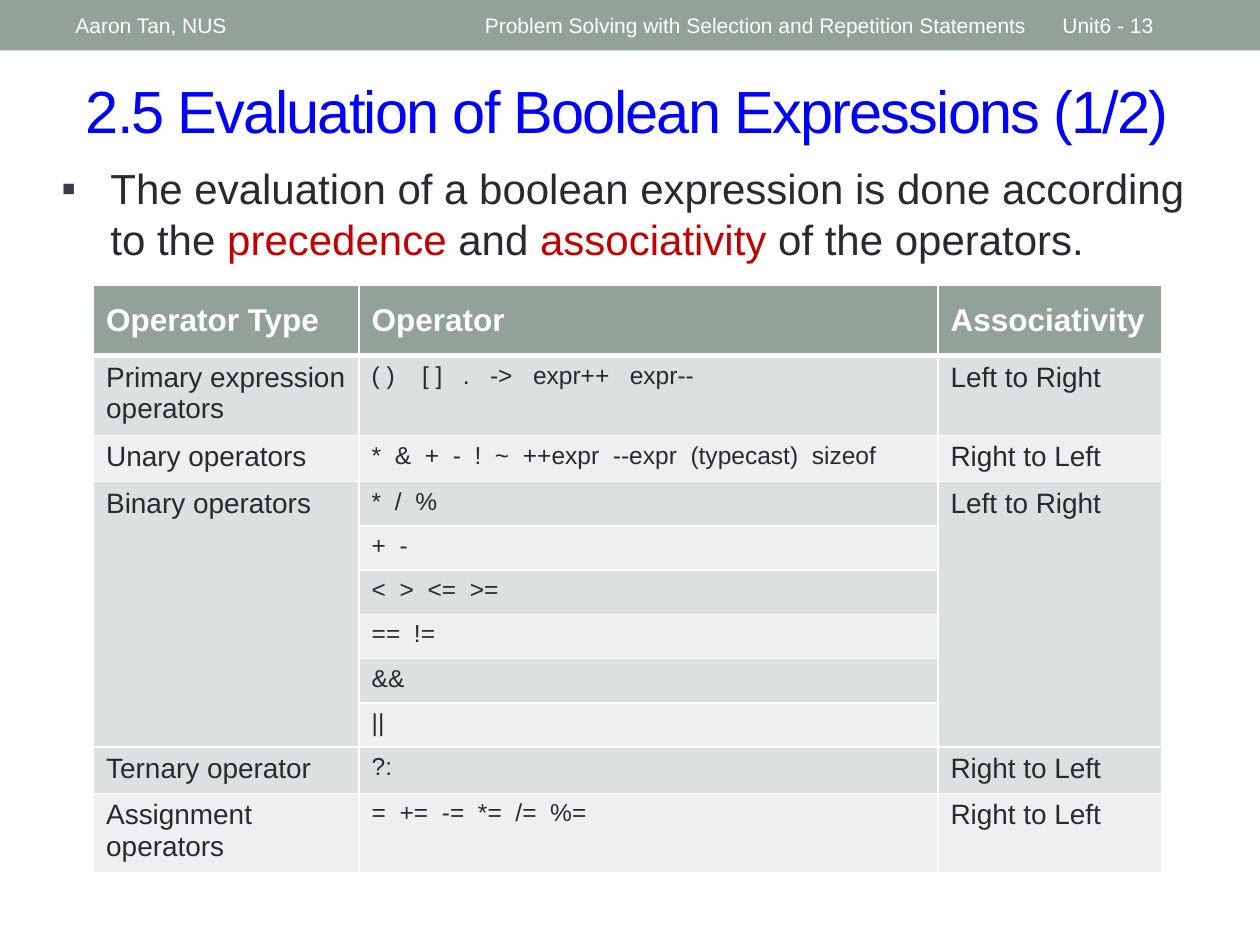
from lxml.etree import SubElement
from pptx import Presentation
from pptx.dml.color import RGBColor
from pptx.enum.shapes import MSO_SHAPE as Shape
from pptx.enum.text import MSO_ANCHOR as Anchor
from pptx.oxml.ns import qn
from pptx.util import Pt

FONT = "Arial"
WHITE = RGBColor(0xFF, 0xFF, 0xFF)
SAGE = RGBColor(0x93, 0xA2, 0x99)
BAND_DARK = RGBColor(0xDC, 0xE0, 0xDE)
BAND_LIGHT = RGBColor(0xEE, 0xF0, 0xEF)
INK = RGBColor(0x29, 0x29, 0x34)
BULLET = RGBColor(0x3B, 0x3B, 0x4B)
BLUE = RGBColor(0x00, 0x00, 0xFF)
RED = RGBColor(0xC0, 0x00, 0x00)

# Content: header entries are (text, left, width)
HEADER = [
    ("Aaron Tan, NUS", 36, 228),
    ("Problem Solving with Selection and Repetition Statements", 270, 324),
    ("Unit6 - 13", 600, 84),
]
TITLE = "2.5 Evaluation of Boolean Expressions (1/2)"
STATEMENT = [
    ("The evaluation of a boolean expression is done according to the ", INK),
    ("precedence", RED),
    (" and ", INK),
    ("associativity", RED),
    (" of the operators.", INK),
]
COLUMNS = [("Operator Type", 151.75), ("Operator", 330.75), ("Associativity", 128)]
# Each group: operator type, rows of operators, associativity, row height
GROUPS = [
    ("Primary expression operators", ["( )    [ ]   .   ->   expr++   expr--"],
     "Left to Right", 42.5),
    ("Unary operators", ["*  &  +  -  !  ~  ++expr  --expr  (typecast)  sizeof"],
     "Right to Left", 25.3),
    ("Binary operators", ["*  /  %", "+  -", "<  >  <=  >=", "==  !=", "&&", "||"],
     "Left to Right", 25.3),
    ("Ternary operator", ["?:"], "Right to Left", 25.3),
    ("Assignment operators", ["=  +=  -=  *=  /=  %="], "Right to Left", 42.5),
]
HEADER_ROW = 40.5
TABLE_LEFT, TABLE_TOP = 53.5, 162.75


def style(paragraph, size, color, bold=False):
    font = paragraph.font
    font.name, font.size, font.bold = FONT, Pt(size), bold
    font.color.rgb = color


def add_box(slide, left, top, width, height, anchor=Anchor.TOP):
    box = slide.shapes.add_textbox(Pt(left), Pt(top), Pt(width), Pt(height))
    box.text_frame.word_wrap = True
    box.text_frame.vertical_anchor = anchor
    return box.text_frame.paragraphs[0]


def add_bullet(paragraph, indent):
    properties = paragraph._p.get_or_add_pPr()
    properties.set("marL", str(Pt(indent)))
    properties.set("indent", str(-Pt(indent)))
    color = SubElement(properties, qn("a:buClr"))
    SubElement(color, qn("a:srgbClr"), val=str(BULLET))
    SubElement(properties, qn("a:buFont"), typeface=FONT)
    SubElement(properties, qn("a:buChar"), char="▪")


def set_borders(cell, top, bottom):
    properties = cell._tc.get_or_add_tcPr()
    sides = [("lnL", 1), ("lnR", 1), ("lnT", top), ("lnB", bottom)]
    for index, (side, width) in enumerate(sides):
        line = properties.makeelement(qn(f"a:{side}"), {"w": str(Pt(width))})
        fill = SubElement(line, qn("a:solidFill"))
        SubElement(fill, qn("a:srgbClr"), val=str(WHITE))
        properties.insert(index, line)


def fill_cell(cell, text, size, color, bold=False):
    cell.text = text
    style(cell.text_frame.paragraphs[0], size, color, bold)


def add_operator_table(slide):
    heights = [HEADER_ROW] + [height for _, rows, _, height in GROUPS for _ in rows]
    widths = [width for _, width in COLUMNS]
    table = slide.shapes.add_table(
        len(heights), len(widths), Pt(TABLE_LEFT), Pt(TABLE_TOP),
        Pt(sum(widths)), Pt(sum(heights))).table
    for column, width in zip(table.columns, widths):
        column.width = Pt(width)

    # Row heights, banding and borders
    for index, height in enumerate(heights):
        table.rows[index].height = Pt(height)
        band = SAGE if index == 0 else BAND_DARK if index % 2 else BAND_LIGHT
        for cell in table.rows[index].cells:
            cell.fill.solid()
            cell.fill.fore_color.rgb = band
            set_borders(cell, 3 if index == 1 else 1, 3 if index == 0 else 1)

    # Heading row
    for index, (heading, _) in enumerate(COLUMNS):
        cell = table.cell(0, index)
        fill_cell(cell, heading, 18, WHITE, bold=True)
        cell.vertical_anchor = Anchor.MIDDLE

    # Operator groups
    first = 1
    for kind, rows, associativity, _ in GROUPS:
        last = first + len(rows) - 1
        for column, text in ((0, kind), (2, associativity)):
            fill_cell(table.cell(first, column), text, 16, INK)
            if last > first:
                table.cell(first, column).merge(table.cell(last, column))
        for offset, operators in enumerate(rows):
            fill_cell(table.cell(first + offset, 1), operators, 14, INK)
        first = last + 1


def main():
    presentation = Presentation()
    presentation.slide_width, presentation.slide_height = Pt(720), Pt(540)
    slide = presentation.slides.add_slide(presentation.slide_layouts[6])

    # Header bar
    bar = slide.shapes.add_shape(Shape.RECTANGLE, 0, 0, Pt(720), Pt(28.8))
    bar.shadow.inherit = False
    bar.fill.solid()
    bar.fill.fore_color.rgb = SAGE
    bar.line.fill.background()
    for text, left, width in HEADER:
        paragraph = add_box(slide, left, 1.5, width, 26, Anchor.MIDDLE)
        paragraph.text = text
        style(paragraph, 12, WHITE)

    # Title
    paragraph = add_box(slide, 42, 30, 660, 66, Anchor.MIDDLE)
    paragraph.text = TITLE
    style(paragraph, 34, BLUE)
    paragraph.runs[0].font._element.set("spc", "-100")

    # Bulleted statement
    paragraph = add_box(slide, 28, 89.5, 661, 89)
    add_bullet(paragraph, 28)
    style(paragraph, 24, INK)
    for text, color in STATEMENT:
        run = paragraph.add_run()
        run.text = text
        run.font.color.rgb = color

    add_operator_table(slide)
    presentation.save("out.pptx")


if __name__ == "__main__":
    main()
